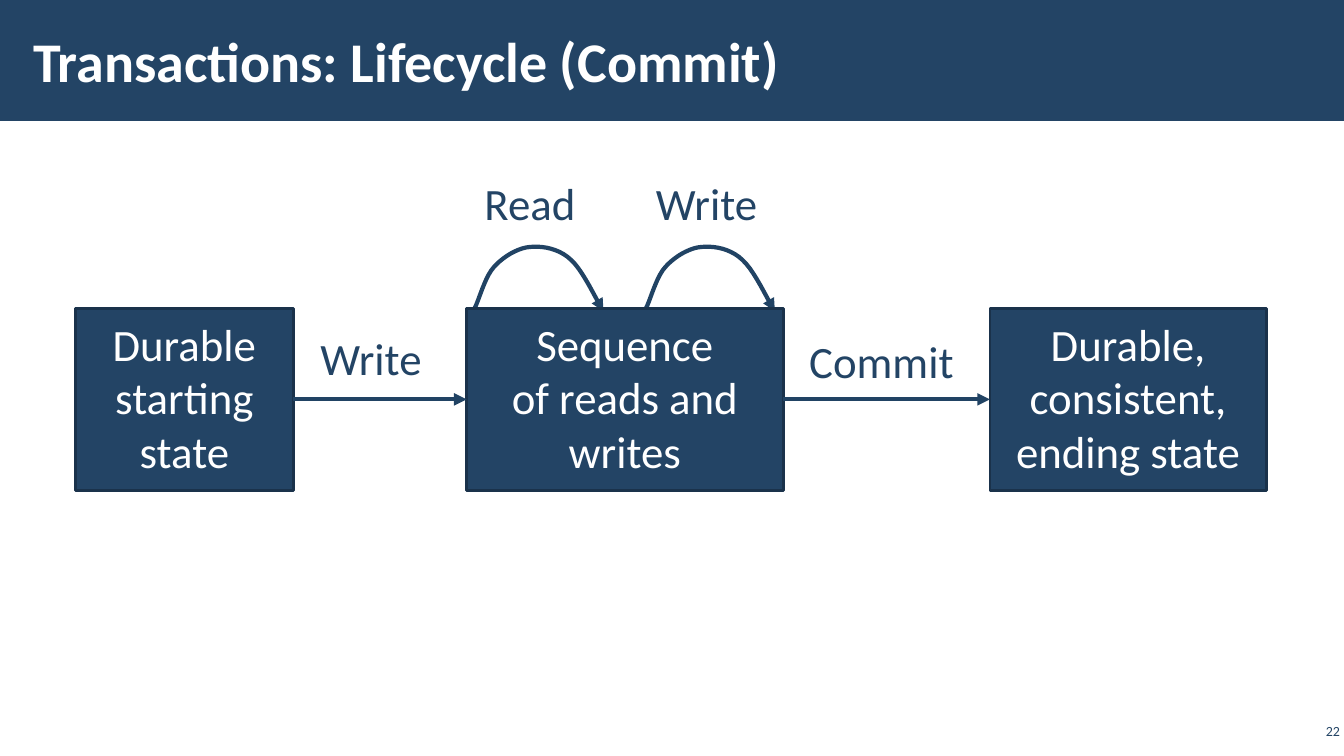
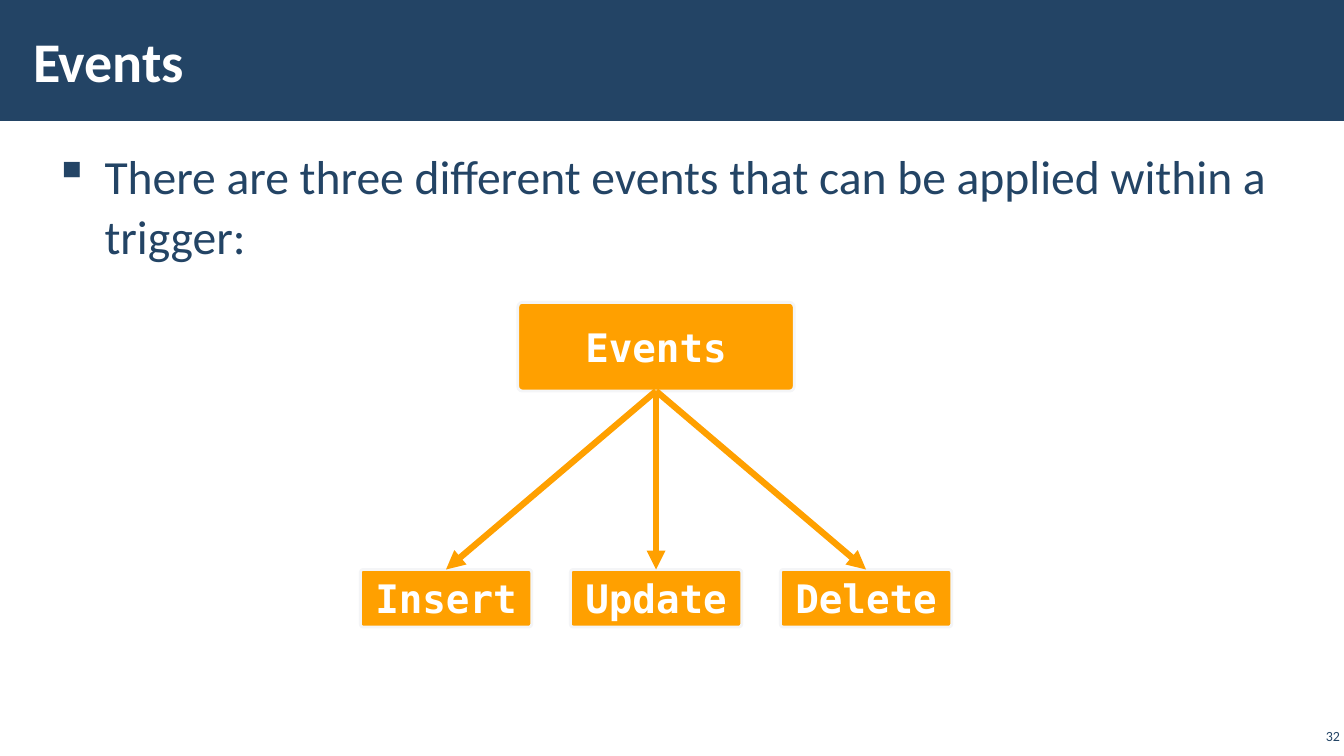
from dataclasses import dataclass
from typing import NamedTuple

from lxml import etree
from pptx import Presentation
from pptx.dml.color import RGBColor
from pptx.enum.shapes import MSO_CONNECTOR, MSO_SHAPE
from pptx.enum.text import MSO_ANCHOR, MSO_AUTO_SIZE, PP_ALIGN
from pptx.oxml.ns import qn
from pptx.util import Emu, Inches, Pt

RECT, ROUNDED = MSO_SHAPE.RECTANGLE, MSO_SHAPE.ROUNDED_RECTANGLE
STRAIGHT = MSO_CONNECTOR.STRAIGHT
TOP_ANCHOR, MIDDLE = MSO_ANCHOR.TOP, MSO_ANCHOR.MIDDLE
LEFT, CENTER, RIGHT = PP_ALIGN.LEFT, PP_ALIGN.CENTER, PP_ALIGN.RIGHT
GROW = MSO_AUTO_SIZE.SHAPE_TO_FIT_TEXT
SIDE_TOP, SIDE_LEFT, SIDE_BOTTOM, SIDE_RIGHT = range(4)

SLIDE_W, SLIDE_H = Inches(13.33), Inches(7.5)
COLUMNS, ROWS = 32, 18


class TextStyle(NamedTuple):
    size: float
    color: str
    font: str = "Calibri"
    bold: bool = False


class Insets(NamedTuple):
    left: float = 0.1
    top: float = 0.05
    right: float = 0.1
    bottom: float = 0.05


class NodeStyle(NamedTuple):
    shape: int
    fill: str
    outline: str
    text: TextStyle
    anchor: int
    insets: Insets
    corner: float = 0


class ArrowStyle(NamedTuple):
    color: str
    width: float


@dataclass(frozen=True)
class Theme:
    navy: str = "234465"
    title: TextStyle = TextStyle(40, "FFFFFF", bold=True)
    body: TextStyle = TextStyle(34, "234465")
    label: TextStyle = TextStyle(32, "234465")
    page: TextStyle = TextStyle(10, "234465")
    heading_insets: Insets = Insets(0.12, 0.04, 0.12, 0.04)
    page_insets: Insets = Insets(0.04, 0.04, 0.04, 0.04)
    state: NodeStyle = NodeStyle(
        RECT, "234465", "1A324B", TextStyle(32, "FFFFFF"),
        TOP_ANCHOR, Insets(0.1, 0.08, 0.1, 0.12))
    event: NodeStyle = NodeStyle(
        ROUNDED, "FFA000", "F4F5F7", TextStyle(28, "FFFFFF", "DejaVu Sans Mono", True),
        MIDDLE, Insets(), 0.05)
    state_arrow: ArrowStyle = ArrowStyle("214364", 3)
    event_arrow: ArrowStyle = ArrowStyle("FFA000", 4.5)


THEME = Theme()


class Area(NamedTuple):
    col: float
    row: float
    cols: float
    rows: float


class Node(NamedTuple):
    text: str
    area: Area


class Label(NamedTuple):
    text: str
    col: float
    row: float
    cols: float


class Loop(NamedTuple):
    label: str
    col: float
    label_cols: float


STATE_ROW, STATE_ROWS = 7.34, 4.34
STATES = [
    Node("Durable starting state", Area(1.8, STATE_ROW, 5.18, STATE_ROWS)),
    Node("Sequence\vof reads and writes", Area(11.11, STATE_ROW, 7.54, STATE_ROWS)),
    Node("Durable,\nconsistent,\nending state", Area(23.57, STATE_ROW, 6.58, STATE_ROWS)),
]
TRANSITIONS = [Label("Write", 7.39, 7.75, 2.93), Label("Commit", 19.03, 7.82, 3.96)]
LOOPS = [Loop("Read", 11.3, 2.66), Loop("Write", 15.38, 2.93)]
LOOP_LABEL_ROW, LABEL_ROWS = 4.06, 1.54
LOOP_CURVE = [
    (0, 0), (0.1, -0.17), (0.24, -0.74), (0.46, -0.98),
    (0.67, -1.22), (1.03, -1.44), (1.32, -1.46),
    (1.63, -1.49), (2.02, -1.42), (2.3, -1.15),
    (2.59, -0.89), (2.9, -0.19), (3.07, 0.07),
]
CURVE_STEPS = 10

TREE_CENTER, EVENT_PITCH, EVENT_COLS = 15.62, 5, 4.08
ROOT = Node("Events", Area(TREE_CENTER - 3.29, 7.2, 6.58, 2.11))
EVENTS = [
    Node(name, Area(TREE_CENTER + (i - 1) * EVENT_PITCH - EVENT_COLS / 2,
                    13.56, EVENT_COLS, 1.37))
    for i, name in enumerate(["Insert", "Update", "Delete"])
]


def x(cols: float) -> Emu:
    return Emu(round(SLIDE_W * cols / COLUMNS))


def y(rows: float) -> Emu:
    return Emu(round(SLIDE_H * rows / ROWS))


def place(area: Area) -> tuple:
    return x(area.col), y(area.row), x(area.cols), y(area.rows)


def rgb(color: str) -> RGBColor:
    return RGBColor.from_string(color)


def write(frame, text: str, style: TextStyle, align=LEFT,
          anchor=TOP_ANCHOR, insets: Insets = Insets(), wrap: bool = True) -> None:
    frame.word_wrap = wrap
    frame.vertical_anchor = anchor
    frame.margin_left, frame.margin_top, frame.margin_right, frame.margin_bottom = map(
        Inches, insets)
    for i, content in enumerate(text.split("\n")):
        paragraph = frame.add_paragraph() if i else frame.paragraphs[0]
        paragraph.alignment = align
        for j, line in enumerate(content.split("\v")):
            if j:
                paragraph.add_line_break()
            run = paragraph.add_run()
            run.text = line
            run.font.size = Pt(style.size)
            run.font.name = style.font
            run.font.bold = style.bold
            run.font.color.rgb = rgb(style.color)


def add_text(slide, area: Area, text: str, style: TextStyle, **layout):
    frame = slide.shapes.add_textbox(*place(area)).text_frame
    write(frame, text, style, **layout)
    return frame


def add_label(slide, label: Label) -> None:
    area = Area(label.col, label.row, label.cols, LABEL_ROWS)
    add_text(slide, area, label.text, THEME.label, wrap=False).auto_size = GROW


def add_node(slide, node: Node, style: NodeStyle):
    box = slide.shapes.add_shape(style.shape, *place(node.area))
    box.shadow.inherit = False
    box.fill.solid()
    box.fill.fore_color.rgb = rgb(style.fill)
    box.line.color.rgb = rgb(style.outline)
    box.line.width = Pt(2)
    if style.corner:
        box.adjustments[0] = style.corner
    write(box.text_frame, node.text, style.text, CENTER, style.anchor, style.insets)
    return box


def style_arrow(arrow, style: ArrowStyle) -> None:
    arrow.line.color.rgb = rgb(style.color)
    arrow.line.width = Pt(style.width)
    properties = arrow.element.spPr
    etree.SubElement(properties.find(qn("a:ln")), qn("a:tailEnd"), type="triangle")
    etree.SubElement(properties, qn("a:effectLst"))


def connect(slide, source, source_side: int, target, target_side: int,
            style: ArrowStyle) -> None:
    arrow = slide.shapes.add_connector(STRAIGHT, 0, 0, 0, 0)
    arrow.begin_connect(source, source_side)
    arrow.end_connect(target, target_side)
    style_arrow(arrow, style)


def bezier(points: list, t: float) -> tuple:
    weights = ((1 - t) ** 3, 3 * t * (1 - t) ** 2, 3 * t * t * (1 - t), t ** 3)
    return tuple(sum(w * p[axis] for w, p in zip(weights, points)) for axis in (0, 1))


def add_loop(slide, loop: Loop) -> None:
    curve = [
        bezier(LOOP_CURVE[start:start + 4], step / CURVE_STEPS)
        for start in range(0, len(LOOP_CURVE) - 1, 3)
        for step in range(1, CURVE_STEPS + 1)
    ]
    builder = slide.shapes.build_freeform(x(loop.col), y(STATE_ROW))
    builder.add_line_segments(
        [(x(loop.col + dx), y(STATE_ROW + dy)) for dx, dy in curve], close=False)
    arc = builder.convert_to_shape()
    arc.fill.background()
    style_arrow(arc, THEME.state_arrow)
    add_label(slide, Label(loop.label, loop.col, LOOP_LABEL_ROW, loop.label_cols))


def add_slide(deck, title: str, page: str, page_area: Area):
    slide = deck.slides.add_slide(deck.slide_layouts[6])
    band = slide.shapes.add_shape(RECT, *place(Area(0, 0, COLUMNS, 2.88)))
    band.shadow.inherit = False
    band.fill.solid()
    band.fill.fore_color.rgb = rgb(THEME.navy)
    band.line.fill.background()
    add_text(slide, Area(0.5, 0.26, 24.94, 2.33), title, THEME.title,
             anchor=MIDDLE, insets=THEME.heading_insets)
    add_text(slide, page_area, page, THEME.page, align=RIGHT,
             anchor=MIDDLE, insets=THEME.page_insets)
    return slide


def add_lifecycle(deck) -> None:
    slide = add_slide(deck, "Transactions: Lifecycle (Commit)", "22",
                      Area(30.87, 17.14, 1.13, 0.53))
    for loop in LOOPS:
        add_loop(slide, loop)
    for transition in TRANSITIONS:
        add_label(slide, transition)
    states = [add_node(slide, state, THEME.state) for state in STATES]
    for source, target in zip(states, states[1:]):
        connect(slide, source, SIDE_RIGHT, target, SIDE_LEFT, THEME.state_arrow)


def add_events(deck) -> None:
    slide = add_slide(deck, "Events", "32", Area(30.8, 17.21, 1.2, 0.6))
    statement = add_text(
        slide, Area(1, 3.34, 29.78, 13.87),
        "There are three different events that can be applied within a trigger:",
        THEME.body, insets=THEME.heading_insets).paragraphs[0]
    statement.line_spacing = 1.05
    statement.space_before = statement.space_after = Pt(6)
    properties = statement._p.get_or_add_pPr()
    properties.set("marL", str(Inches(0.5)))
    properties.set("indent", str(-Inches(0.5)))
    etree.SubElement(properties, qn("a:buChar"), char="▪")
    root = add_node(slide, ROOT, THEME.event)
    for event in EVENTS:
        connect(slide, root, SIDE_BOTTOM, add_node(slide, event, THEME.event),
                SIDE_TOP, THEME.event_arrow)


def main() -> None:
    deck = Presentation()
    deck.slide_width, deck.slide_height = SLIDE_W, SLIDE_H
    add_lifecycle(deck)
    add_events(deck)
    deck.save("out.pptx")


if __name__ == "__main__":
    main()
